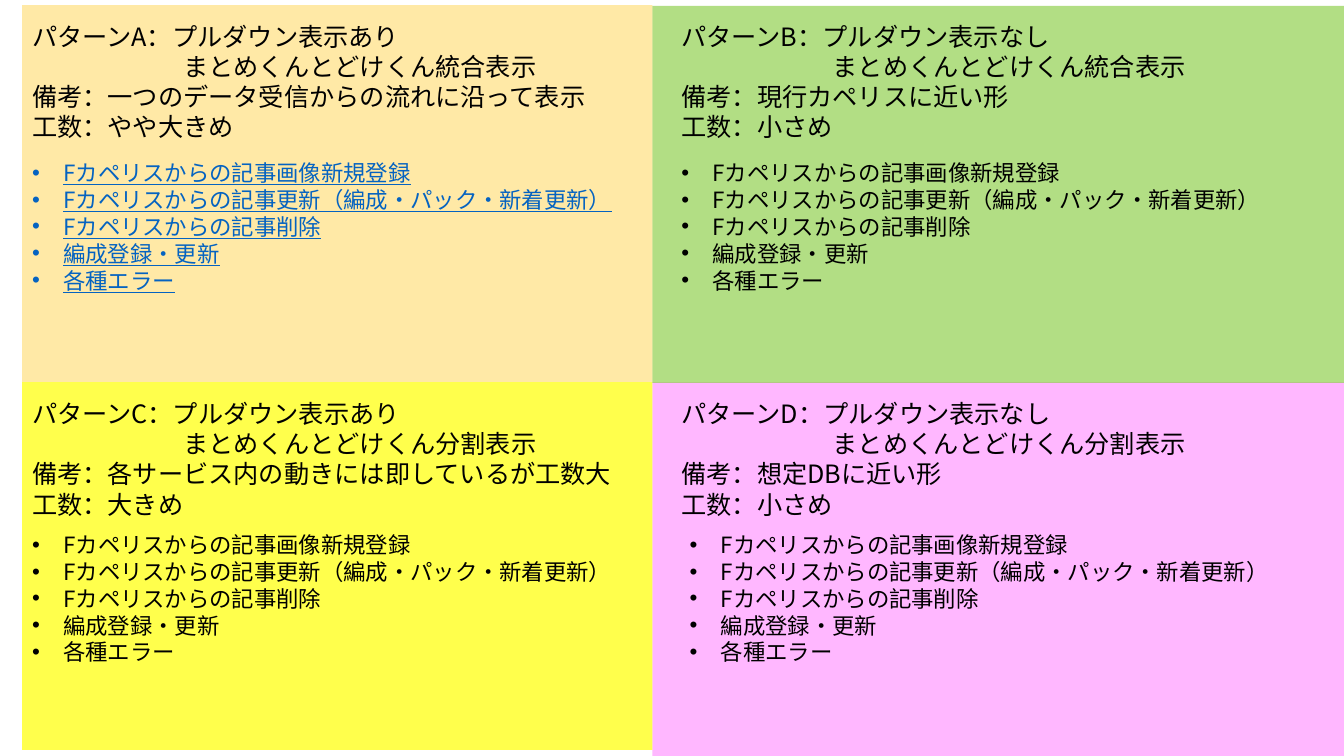
from pptx import Presentation
from pptx.dml.color import RGBColor
from pptx.enum.shapes import MSO_SHAPE as Shape
from pptx.oxml.ns import qn
from pptx.util import Inches, Pt
from lxml.etree import SubElement

FONT = "Noto Sans CJK JP"

presentation = Presentation()
presentation.slide_width = Inches(13.33)
presentation.slide_height = Inches(7.5)
slide = presentation.slides.add_slide(presentation.slide_layouts[6])


def color(value):
    return RGBColor.from_string(value)


def add_text(lines, left, top, width, height, size=18, ink="000000",
             underline=None, bullet=None, indents=None):
    box = slide.shapes.add_textbox(
        Inches(left), Inches(top), Inches(width), Inches(height))
    frame = box.text_frame
    frame.word_wrap = True
    for index, line in enumerate(lines):
        paragraph = frame.paragraphs[0] if index == 0 else frame.add_paragraph()
        properties = paragraph._p.get_or_add_pPr()
        if bullet:
            properties.set("marL", str(Inches(0.31)))
            properties.set("indent", str(Inches(-0.31)))
            SubElement(properties, qn("a:buFont")).set("typeface", "Arial")
            SubElement(properties, qn("a:buChar")).set("char", bullet)
        elif indents:
            properties.set("marL", str(Inches(indents[index])))
        run = paragraph.add_run()
        run.text = line
        run.font.size = Pt(size)
        run.font.name = FONT
        run.font.underline = underline
        run.font.color.rgb = color(ink)
        SubElement(run._r.get_or_add_rPr(), qn("a:ea")).set("typeface", FONT)


# Quadrant backgrounds: left, top, width, height, fill, opacity in percent
quadrants = [
    (6.47, 3.79, 6.87, 3.74, "FF99FF", 70),
    (0.22, 3.79, 6.25, 3.65, "FFFF00", 70),
    (6.47, 0.06, 6.86, 3.74, "92D050", 70),
    (0.22, 0.05, 6.25, 3.74, "FFC000", 35),
]
for left, top, width, height, fill, opacity in quadrants:
    shape = slide.shapes.add_shape(
        Shape.RECTANGLE, Inches(left), Inches(top), Inches(width), Inches(height))
    shape.shadow.inherit = False
    shape.fill.solid()
    shape.fill.fore_color.rgb = color(fill)
    shape.line.fill.background()
    rgb = shape._element.spPr.find(".//" + qn("a:srgbClr"))
    SubElement(rgb, qn("a:alpha")).set("val", str(opacity * 1000))

# Patterns: letter, pulldown, layout, remark, effort, left, top, list left, list top
patterns = [
    ("A", "あり", "統合", "一つのデータ受信からの流れに沿って表示", "やや大きめ",
     0.22, 0.16, 0.22, 1.53),
    ("B", "なし", "統合", "現行カペリスに近い形", "小さめ",
     6.66, 0.16, 6.66, 1.53),
    ("C", "あり", "分割", "各サービス内の動きには即しているが工数大", "大きめ",
     0.22, 3.9, 0.22, 5.22),
    ("D", "なし", "分割", "想定DBに近い形", "小さめ",
     6.66, 3.9, 6.74, 5.22),
]
screens = [
    "Fカペリスからの記事画像新規登録",
    "Fカペリスからの記事更新（編成・パック・新着更新）",
    "Fカペリスからの記事削除",
    "編成登録・更新",
    "各種エラー",
]
for (letter, pulldown, layout, remark, effort,
     left, top, list_left, list_top) in patterns:
    # Heading, with the second line set in under the first
    heading = [
        f"パターン{letter}：プルダウン表示{pulldown}",
        f"まとめくんとどけくん{layout}表示",
        f"備考：{remark}",
        f"工数：{effort}",
    ]
    add_text(heading, left, top, 6.25, 1.31, indents=[0, 1.5, 0, 0])

    # Screen list, in link style for pattern A
    linked = letter == "A"
    add_text(screens, list_left, list_top, 6.52, 1.45, size=16, bullet="•",
             ink="0563C1" if linked else "000000", underline=linked or None)

presentation.save("out.pptx")
